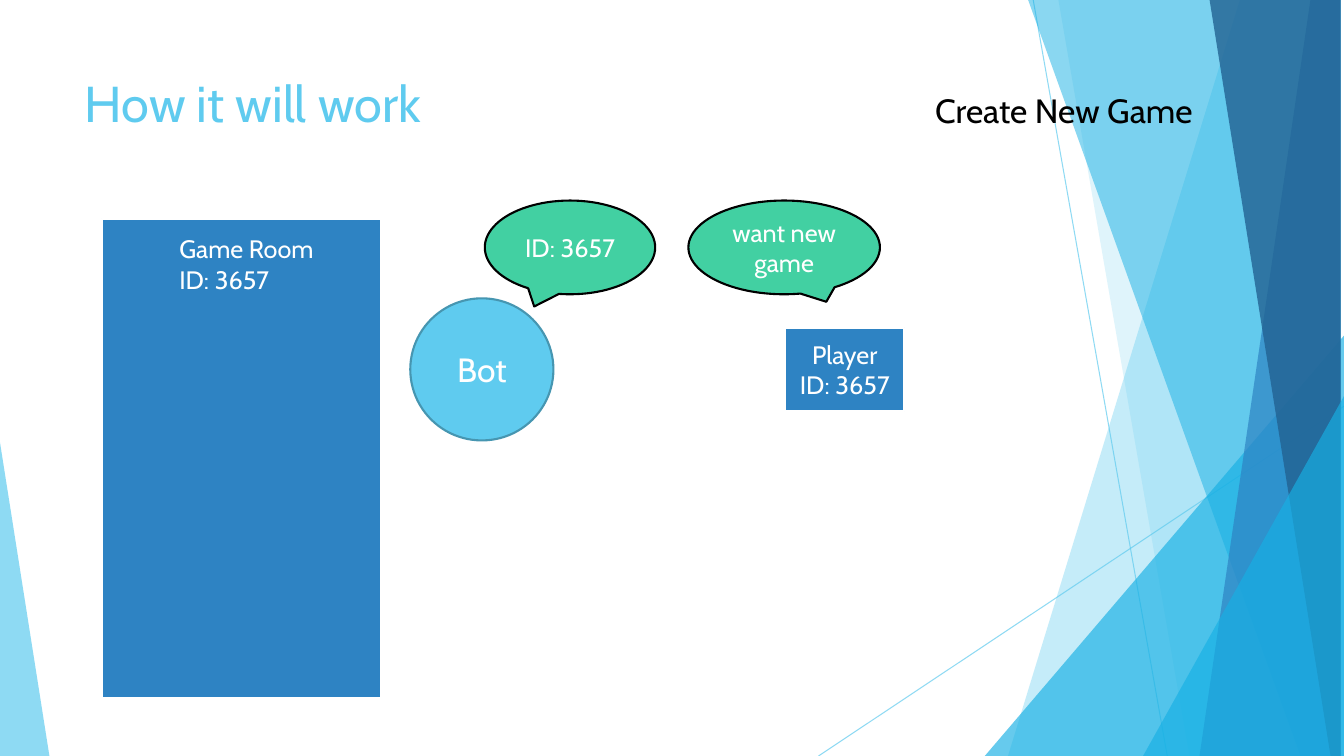
from lxml import etree
from pptx import Presentation
from pptx.dml.color import RGBColor
from pptx.enum.shapes import MSO_CONNECTOR, MSO_SHAPE
from pptx.enum.text import MSO_ANCHOR, MSO_AUTO_SIZE, PP_ALIGN
from pptx.oxml.ns import qn
from pptx.util import Inches, Pt

RECTANGLE, OVAL = MSO_SHAPE.RECTANGLE, MSO_SHAPE.OVAL
CALLOUT, TRIANGLE = MSO_SHAPE.OVAL_CALLOUT, MSO_SHAPE.ISOSCELES_TRIANGLE
TOP, MIDDLE = MSO_ANCHOR.TOP, MSO_ANCHOR.MIDDLE
LEFT, CENTER = PP_ALIGN.LEFT, PP_ALIGN.CENTER

THEME = {
    "font": "Cabin", "title": 36, "large": 24, "body": 18,
    "sky": "5FCBEF", "cyan": "17B0E4", "blue": "2E83C3", "navy": "226292",
    "green": "42D0A2", "bot edge": "4696B1", "white": "FFFFFF", "black": "000000",
    "outline": 1.5, "hairline": 0.75,
}

# The grid has square cells: 133.33 columns by 75 rows
CELL = Inches(0.1)
COLUMNS, ROWS = 133.33, 75


def paint(shape, fill, opacity=100, line=None):
    """Give a shape a fill of the given opacity in percent, and an outline or none."""
    shape.shadow.inherit = False
    shape.fill.solid()
    shape.fill.fore_color.rgb = RGBColor.from_string(THEME[fill])
    if opacity < 100:
        color = shape.fill._xPr.find(".//" + qn("a:srgbClr"))
        etree.SubElement(color, qn("a:alpha"), val=str(opacity * 1000))
    if line:
        shape.line.color.rgb = RGBColor.from_string(THEME[line])
        shape.line.width = Pt(THEME["outline"])
    else:
        shape.line.fill.background()


def write(shape, text, size="body", color="white", align=LEFT, anchor=TOP,
          fit=MSO_AUTO_SIZE.NONE):
    frame = shape.text_frame
    frame.text = text
    frame.word_wrap = True
    frame.auto_size = fit
    frame.vertical_anchor = anchor
    for paragraph in frame.paragraphs:
        paragraph.alignment = align
        font = paragraph.runs[0].font
        font.name = THEME["font"]
        font.size = Pt(THEME[size])
        font.color.rgb = RGBColor.from_string(THEME[color])


deck = Presentation()
deck.slide_width, deck.slide_height = int(COLUMNS * CELL), ROWS * CELL
slide = deck.slides.add_slide(deck.slide_layouts[5])
shapes = slide.shapes

# Thin rays behind the facets
for ray in [(102.5, 0, 115.8, ROWS), (COLUMNS, 40.3, 81.2, ROWS)]:
    connector = shapes.add_connector(MSO_CONNECTOR.STRAIGHT, *(int(v * CELL) for v in ray))
    connector.line.color.rgb = RGBColor.from_string(THEME["sky"])
    connector.line.width = Pt(THEME["hairline"])
    ray_color = connector._element.spPr.find(".//" + qn("a:srgbClr"))
    etree.SubElement(ray_color, qn("a:alpha"), val="70000")
    etree.SubElement(connector._element.spPr, qn("a:effectLst"))

# Bands run from a top column to a bottom column and fill out to the right edge;
# wedges stand on the bottom edge: left, width, height, apex position
facets = [
    ("band", (122.8, 100.4), "sky", 36),
    ("band", (105, 118.3), "sky", 20),
    ("wedge", (97.7, 35.63, 41.7, 1), "cyan", 66),
    ("band", (102.1, 129.1), "cyan", 50),
    ("band", (130.3, 119.2), "blue", 70),
    ("band", (119.6, 131.8), "navy", 80),
    ("wedge", (113.4, 19.93, 35.7, 1), "cyan", 66),
    ("wedge", (0, 4.9, 31.1, 0), "sky", 70),
]
for kind, outline, color, opacity in facets:
    if kind == "band":
        top, bottom = outline
        builder = shapes.build_freeform(top, 0, scale=CELL)
        builder.add_line_segments([(COLUMNS, 0), (COLUMNS, ROWS), (bottom, ROWS)])
        facet = builder.convert_to_shape()
    else:
        left, width, height, apex = outline
        facet = shapes.add_shape(TRIANGLE, *(int(v * CELL) for v in
                                             (left, ROWS - height, width, height)))
        facet.adjustments[0] = apex
    paint(facet, color, opacity)

title = shapes.title
title.left, title.top, title.width, title.height = (
    int(v * CELL) for v in (7.4, 6.7, 94, 14.4))
write(title, "How it will work", size="title", color="sky")

# Actors and what they say: preset, place, fill, outline, text, size, callout tip
actors = [
    (RECTANGLE, (10.1, 21.7, 27.7, 47.6), "blue", "white", "", "body", ()),
    (OVAL, (40.7, 29.6, 14.2, 14.1), "sky", "bot edge", "Bot", "large", ()),
    (RECTANGLE, (77.9, 32.5, 11.8, 8.3), "blue", "white", "Player\nID: 3657", "body", ()),
    (CALLOUT, (68.3, 19.9, 19, 9.3), "green", "black", "want new game", "body", (0.22, 0.58)),
    (CALLOUT, (48.1, 19.9, 16.9, 9.3), "green", "black", "ID: 3657", "body", (-0.21, 0.63)),
]
for preset, place, fill, line, text, size, tip in actors:
    actor = shapes.add_shape(preset, *(int(v * CELL) for v in place))
    paint(actor, fill, line=line)
    for index, offset in enumerate(tip):
        actor.adjustments[index] = offset
    if text:
        write(actor, text, size=size, align=CENTER, anchor=MIDDLE)

labels = [
    ((16.8, 22.7, 17.2, 7.1), "Game Room\nID: 3657", "body", "white"),
    ((91.8, 8.4, 29.6, 5), "Create New Game", "large", "black"),
]
for place, text, size, color in labels:
    label = shapes.add_textbox(*(int(v * CELL) for v in place))
    write(label, text, size=size, color=color, fit=MSO_AUTO_SIZE.SHAPE_TO_FIT_TEXT)

deck.save("out.pptx")
